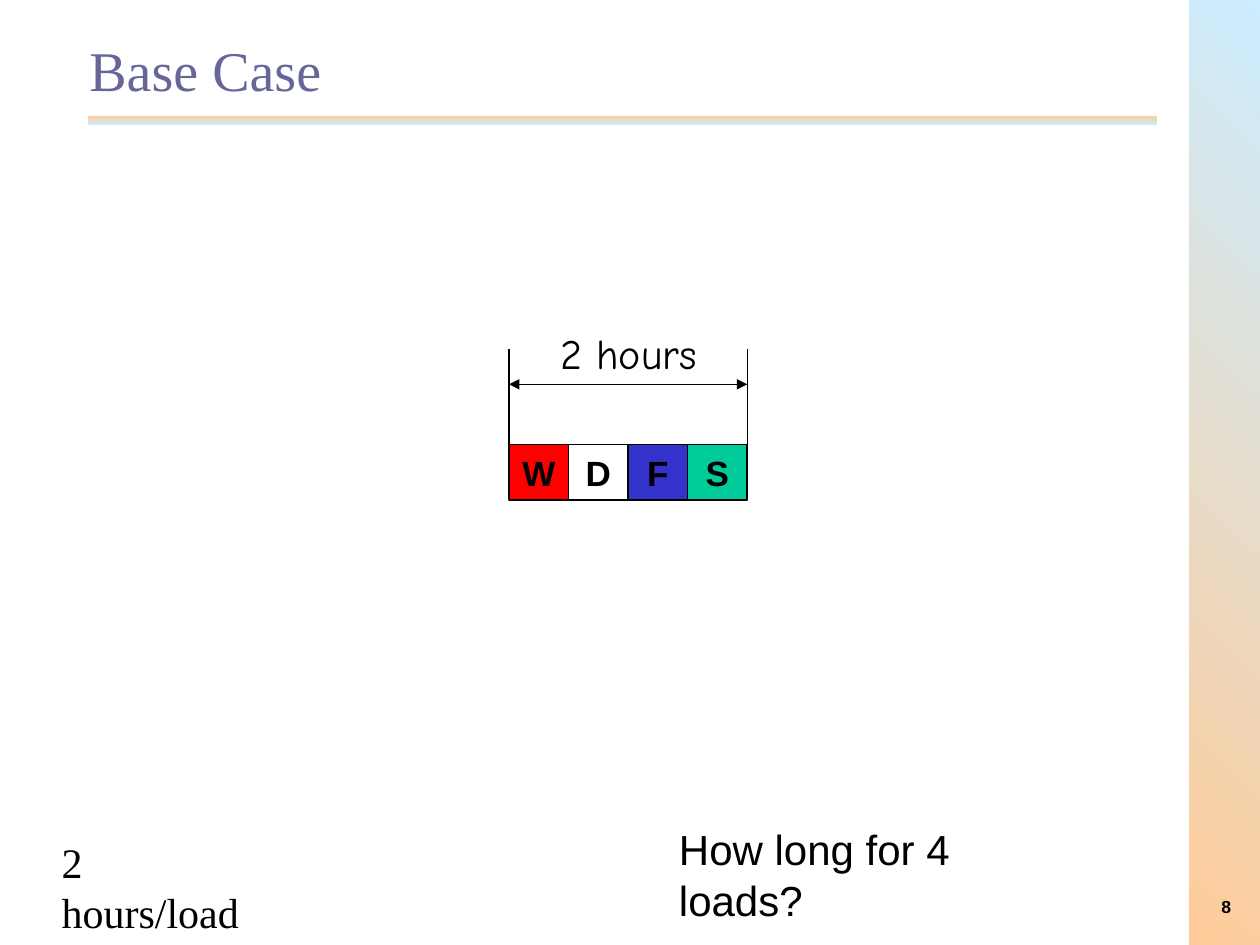
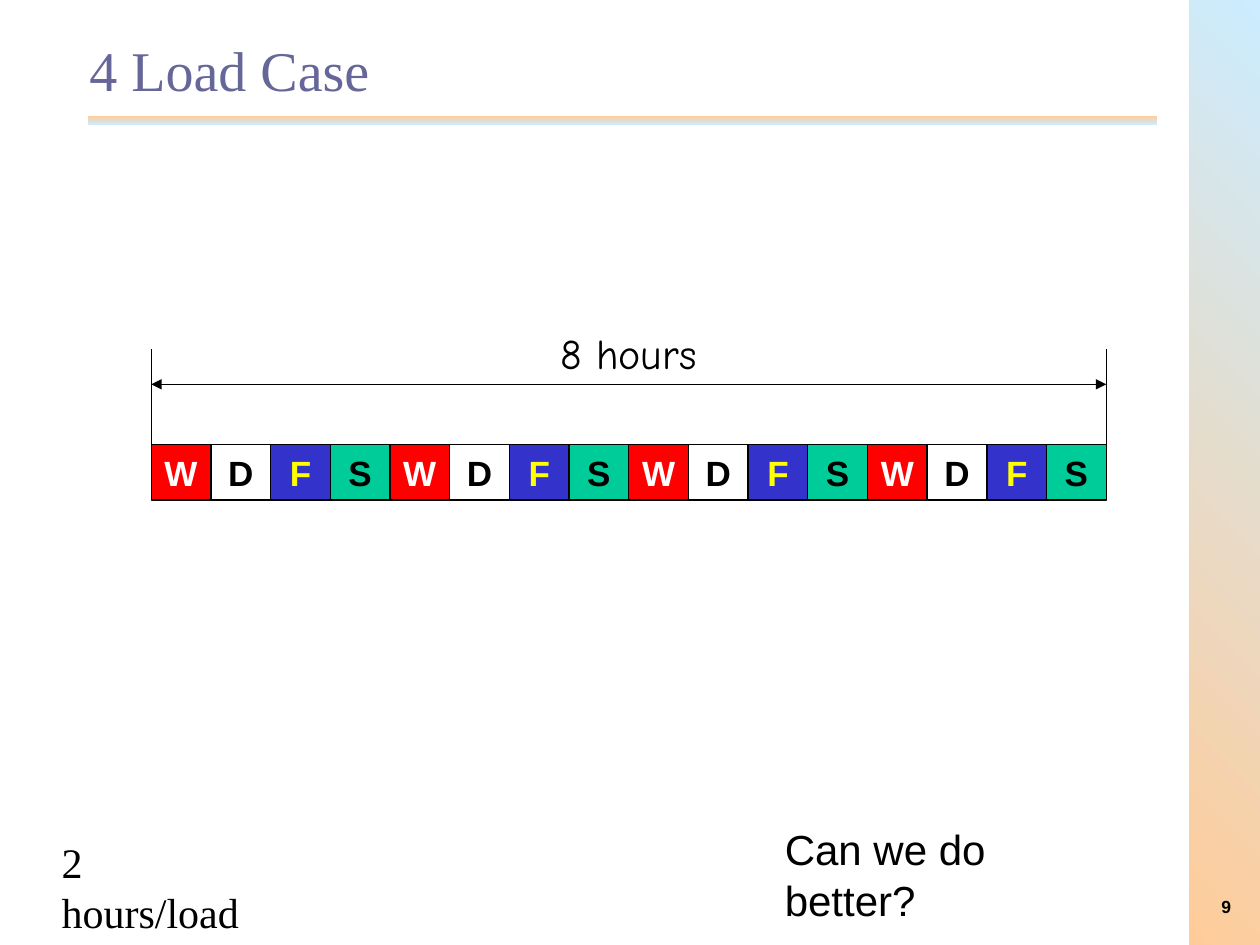
from lxml import etree
from pptx import Presentation
from pptx import util as u
from pptx.dml.color import RGBColor
from pptx.enum import shapes, text
from pptx.oxml import ns

BLACK = RGBColor(0x00, 0x00, 0x00)
WHITE = RGBColor(0xFF, 0xFF, 0xFF)
RED = RGBColor(0xFF, 0x00, 0x00)
BLUE = RGBColor(0x33, 0x33, 0xCC)
GREEN = RGBColor(0x00, 0xCC, 0x99)
YELLOW = RGBColor(0xFF, 0xFF, 0x00)
TITLE_COLOUR = RGBColor(0x66, 0x66, 0x99)
PEACH = RGBColor(0xFF, 0xCC, 0x99)
SKY = RGBColor(0xCC, 0xEC, 0xFF)

SERIF = "Times New Roman"
SANS = "Arial"
HAND = "Comic Neue"
LINE_WIDTH = u.Pt(0.74)

STAGES = [("W", RED), ("D", WHITE), ("F", BLUE), ("S", GREEN)]
PLAIN_LETTERS = dict.fromkeys("WDFS", BLACK)
BRIGHT_LETTERS = {"W": WHITE, "D": BLACK, "F": YELLOW, "S": BLACK}


def inches(*lengths):
    return [u.Inches(length) for length in lengths]


def write(shape, words, font, size, colour=BLACK, bold=False, align=text.PP_ALIGN.LEFT):
    shape.text_frame.text = words
    para = shape.text_frame.paragraphs[0]
    para.alignment = align
    span = para.runs[0]
    span.font.name = font
    span.font.size = u.Pt(size)
    span.font.bold = bold
    span.font.color.rgb = colour
    return para


def add_label(page, box, words, font, size=24):
    label = page.shapes.add_textbox(*inches(*box))
    label.text_frame.word_wrap = False
    label.text_frame.auto_size = text.MSO_AUTO_SIZE.SHAPE_TO_FIT_TEXT
    write(label, words, font, size)


def add_band(page, box, colours, angle, rotation=0):
    band = page.shapes.add_shape(shapes.MSO_SHAPE.RECTANGLE, *inches(*box))
    band.shadow.inherit = False
    band.rotation = rotation
    band.line.fill.background()
    band.fill.gradient()
    band.fill.gradient_angle = angle
    for stop, colour in zip(band.fill.gradient_stops, colours):
        stop.color.rgb = colour


def add_line(page, start, end, arrows=False):
    line = page.shapes.add_connector(
        shapes.MSO_CONNECTOR.STRAIGHT, *inches(*start, *end))
    line.line.color.rgb = BLACK
    line.line.width = LINE_WIDTH
    if arrows:
        outline = line.line._get_or_add_ln()
        for tip in ("a:headEnd", "a:tailEnd"):
            etree.SubElement(outline, ns.qn(tip), type="triangle")
    etree.SubElement(line._element.spPr, ns.qn("a:effectLst"))


def add_frame(page, title, number):
    add_band(page, (0.7, 0.92, 8.48, 0.07), (PEACH, SKY), 270)
    add_band(page, (5.97, 3.47, 7.5, 0.56), (SKY, PEACH), 135, rotation=270)

    heading = page.shapes.title
    heading.left, heading.top, heading.width, heading.height = inches(0.61, 0.17, 8.5, 0.83)
    heading.text_frame.vertical_anchor = text.MSO_ANCHOR.MIDDLE
    write(heading, title, SERIF, 32, TITLE_COLOUR).line_spacing = 0.9

    footer = page.shapes.add_textbox(*inches(9.28, 7.11, 0.58, 0.17))
    frame = footer.text_frame
    frame.word_wrap = True
    frame.margin_left = frame.margin_right = u.Inches(0.09)
    frame.margin_top = frame.margin_bottom = 0
    write(footer, str(number), SANS, 10, bold=True, align=text.PP_ALIGN.RIGHT)


def add_duration(page, box, words):
    left, top, width, height = box
    right, bottom = left + width, top + height
    for x in (left, right):
        add_line(page, (x, top), (x, bottom))
    add_line(page, (left, top + 0.28), (right, top + 0.28), arrows=True)
    add_label(page, (4.35, top - 0.22, 1.28, 0.5), words, HAND)


def add_loads(page, box, loads, letter_colours):
    left, top, width, height = box
    cell_width = width / (loads * len(STAGES))
    for index, (letter, fill) in enumerate(STAGES * loads):
        cell = page.shapes.add_shape(
            shapes.MSO_SHAPE.RECTANGLE,
            *inches(left + index * cell_width, top, cell_width, height))
        cell.shadow.inherit = False
        cell.fill.solid()
        cell.fill.fore_color.rgb = fill
        cell.line.color.rgb = BLACK
        cell.line.width = LINE_WIDTH
        cell.text_frame.word_wrap = False
        cell.text_frame.vertical_anchor = text.MSO_ANCHOR.MIDDLE
        write(cell, letter, SANS, 20, letter_colours[letter], True, text.PP_ALIGN.CENTER)


def add_case(deck, number, title, loads, span, letter_colours, question, question_box):
    page = deck.slides.add_slide(deck.slide_layouts[5])
    left, width = span
    add_frame(page, title, number)
    add_duration(page, (left, 2.77, width, 0.76), f"{2 * loads} hours")
    add_label(page, question_box, question, SANS)
    add_loads(page, (left, 3.53, width, 0.44), loads, letter_colours)
    add_label(page, (0.39, 6.59, 1.85, 0.5), "2 hours/load", SERIF)


deck = Presentation()
deck.slide_width, deck.slide_height = inches(10, 7.5)
add_case(deck, 8, "Base Case", 1, (4.04, 1.89), PLAIN_LETTERS,
         "How long for 4 loads?", (5.29, 6.49, 3.42, 0.5))
add_case(deck, 9, "4 Load Case", 4, (1.2, 7.58), BRIGHT_LETTERS,
         "Can we do better?", (6.13, 6.49, 2.92, 0.5))
deck.save("out.pptx")
